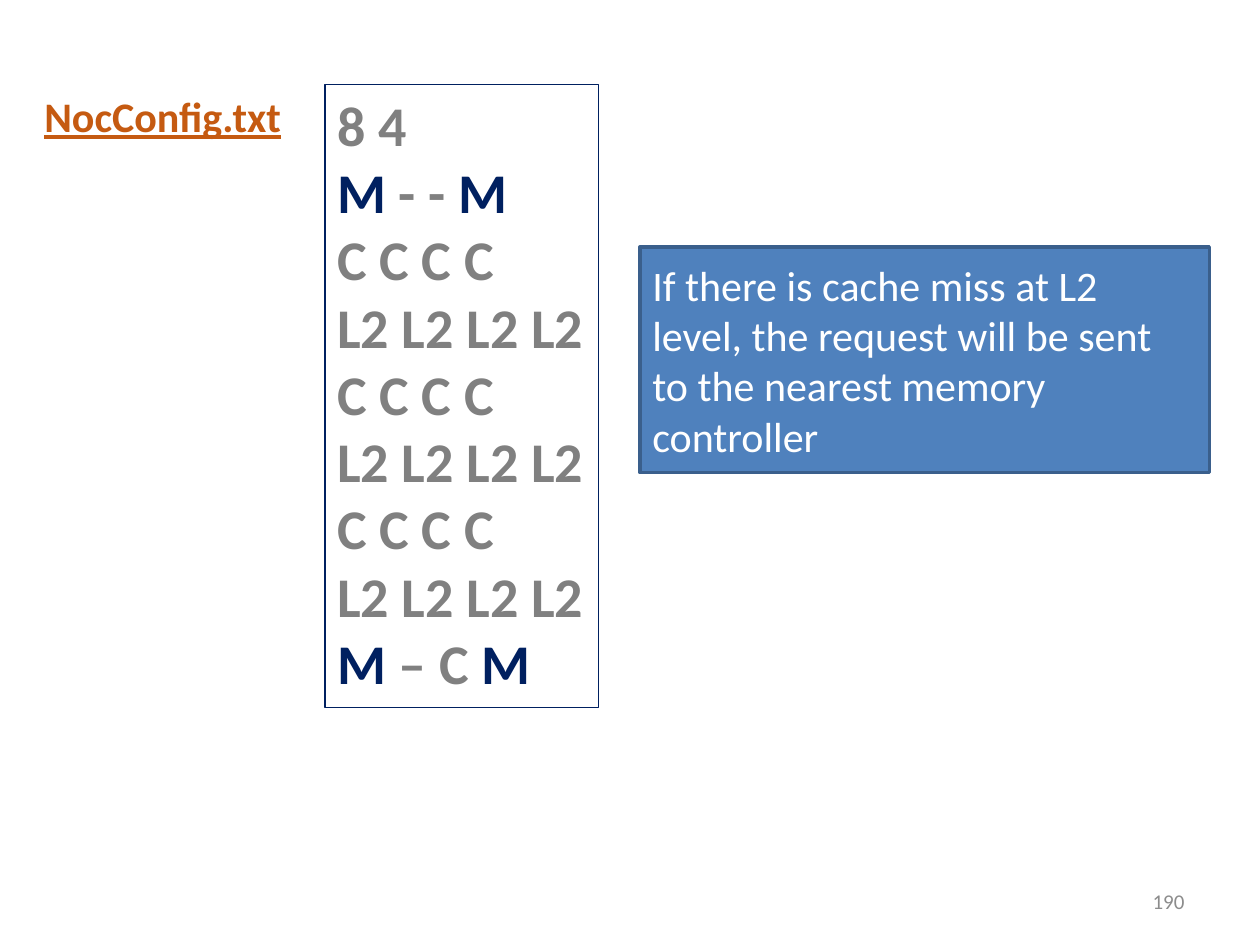
from dataclasses import dataclass
from pptx import Presentation as Deck
from pptx.dml.color import RGBColor as Rgb
from pptx.enum.shapes import MSO_SHAPE as Kind
from pptx.enum.text import MSO_ANCHOR as Anchor, MSO_AUTO_SIZE as Fit, PP_ALIGN as Align
from pptx.util import Cm, Pt

NAME = "NocConfig.txt"
CORES = ("C C C C",)
CACHE = ("L2 L2 L2 L2",)
GRID = [
    ("8 4",),
    ("M", " - - ", "M"),
    *[CORES, CACHE] * 3,
    ("M", " – C ", "M"),
]
NOTE = ("If there is cache miss at L2 level, the request will be sent "
        "to the nearest memory controller")
PAGE = "190"


@dataclass(frozen=True)
class Theme:
    font: str = "Calibri"
    navy: str = "002060"
    gray: str = "808080"
    rust: str = "C55A11"
    blue: str = "4F81BD"
    edge: str = "3A5F8C"
    white: str = "FFFFFF"
    pale: str = "8C8C8C"
    big: int = 32
    mid: int = 24
    small: int = 12


LOOK = Theme()


def place(item, box):
    item.left, item.top, item.width, item.height = map(Cm, box)


def add_run(para, text, size, color, bold=False, under=False):
    run = para.add_run()
    run.text = text
    font = run.font
    font.name, font.size = LOOK.font, Pt(size)
    font.bold, font.underline = bold, under
    font.color.rgb = Rgb.from_string(color)


def set_frame(item, anchor, wrap=True, fit=Fit.NONE):
    frame = item.text_frame
    frame.word_wrap, frame.auto_size = wrap, fit
    frame.vertical_anchor = anchor
    return frame


def add_rect(slide, box, edge, width, fill=None):
    rect = slide.shapes.add_shape(Kind.RECTANGLE, *map(Cm, box))
    rect.shadow.inherit = False
    if fill:
        rect.fill.solid()
        rect.fill.fore_color.rgb = Rgb.from_string(fill)
    else:
        rect.fill.background()
    rect.line.color.rgb = Rgb.from_string(edge)
    rect.line.width = Pt(width)
    return rect


def add_title(slide):
    title = slide.shapes.title
    place(title, (0.64, 1.7, 5.33, 1.27))
    para = set_frame(title, Anchor.TOP, False, Fit.SHAPE_TO_FIT_TEXT).paragraphs[0]
    para.alignment = Align.LEFT
    add_run(para, NAME, LOOK.mid, LOOK.rust, True, True)


def add_grid(slide):
    rect = add_rect(slide, (6.55, 1.7, 5.51, 12.57), LOOK.navy, 0.75)
    frame = set_frame(rect, Anchor.TOP, fit=Fit.SHAPE_TO_FIT_TEXT)
    for i, row in enumerate(GRID):
        para = frame.add_paragraph() if i else frame.paragraphs[0]
        para.alignment = Align.LEFT
        for text in row:
            color = LOOK.navy if text == "M" else LOOK.gray
            add_run(para, text, LOOK.big, color, True)


def add_note(slide):
    rect = add_rect(slide, (12.9, 4.98, 11.48, 4.55), LOOK.edge, 2, LOOK.blue)
    para = set_frame(rect, Anchor.MIDDLE).paragraphs[0]
    para.alignment = Align.LEFT
    add_run(para, NOTE, LOOK.mid, LOOK.white)


def add_page(slide):
    box = slide.shapes.add_textbox(*map(Cm, (18.21, 17.65, 5.92, 1.02)))
    para = set_frame(box, Anchor.MIDDLE).paragraphs[0]
    para.alignment = Align.RIGHT
    add_run(para, PAGE, LOOK.small, LOOK.pale)


def main():
    deck = Deck()
    deck.slide_width, deck.slide_height = Cm(25.4), Cm(19.05)
    slide = deck.slides.add_slide(deck.slide_layouts[5])
    for add in (add_page, add_grid, add_title, add_note):
        add(slide)
    deck.save("out.pptx")


if __name__ == "__main__":
    main()
